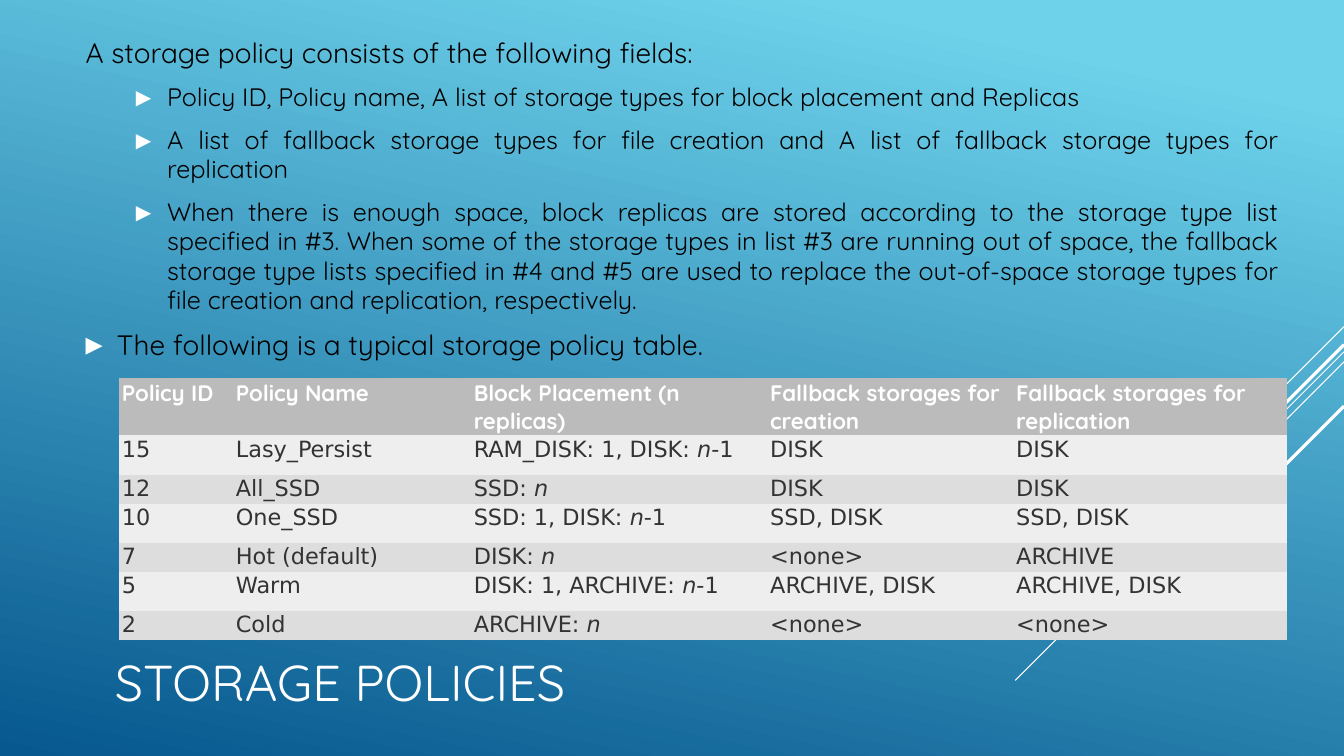
import dataclasses

import lxml.etree
import pptx
import pptx.dml.color
import pptx.enum.shapes
import pptx.enum.text
import pptx.oxml.ns
import pptx.util

PX = 9144  # 100 px to the inch


@dataclasses.dataclass(frozen=True)
class Theme:
    font: str = "Quicksand"
    cell_font: str = "DejaVu Sans"
    white: str = "FFFFFF"
    black: str = "000000"
    sky: str = "6ED2EB"
    deep: str = "06588E"
    header_fill: str = "BBBBBB"
    row_fills: tuple = ("EEEEEE", "DDDDDD")
    cell_text: str = "333333"
    title_size: int = 36
    body_size: int = 20
    point_size: int = 18
    table_size: int = 16


THEME = Theme()

# Each paragraph: level (None for no bullet) and text
BODY = [
    (None, "A storage policy consists of the following fields:"),
    (1, "Policy ID, Policy name, A list of storage types for block placement and Replicas"),
    (1, "A list of fallback storage types for file creation and A list of fallback "
        "storage types for replication"),
    (1, "When there is enough space, block replicas are stored according to the storage "
        "type list specified in #3. When some of the storage types in list #3 are running "
        "out of space, the fallback storage type lists specified in #4 and #5 are used to "
        "replace the out-of-space storage types for file creation and replication, "
        "respectively."),
    (0, "The following is a typical storage policy table."),
]

# Text between asterisks is italic
POLICIES = [
    ("Policy ID", "Policy Name", "Block Placement (n replicas)",
     "Fallback storages for creation", "Fallback storages for replication"),
    ("15", "Lasy_Persist", "RAM_DISK: 1, DISK: *n*-1", "DISK", "DISK"),
    ("12", "All_SSD", "SSD: *n*", "DISK", "DISK"),
    ("10", "One_SSD", "SSD: 1, DISK: *n*-1", "SSD, DISK", "SSD, DISK"),
    ("7", "Hot (default)", "DISK: *n*", "<none>", "ARCHIVE"),
    ("5", "Warm", "DISK: 1, ARCHIVE: *n*-1", "ARCHIVE, DISK", "ARCHIVE, DISK"),
    ("2", "Cold", "ARCHIVE: *n*", "<none>", "<none>"),
]
COLUMN_WIDTHS = (113, 236, 294, 244, 272)
ROW_HEIGHTS = (57, 39, 27, 39, 27, 39, 27)


def px(*lengths):
    return [length * PX for length in lengths]


def rgb(value):
    return pptx.dml.color.RGBColor.from_string(value)


def style_run(run, font, size, color, bold=False, italic=False):
    run.font.name = font
    run.font.size = pptx.util.Pt(size)
    run.font.color.rgb = rgb(color)
    run.font.bold = bold
    run.font.italic = italic


def add_child(parent, tag, **attributes):
    child = lxml.etree.SubElement(parent, pptx.oxml.ns.qn(tag))
    for name, value in attributes.items():
        child.set(name, str(value))
    return child


def set_bullet(paragraph, left):
    """Give the paragraph a white triangle and a hanging indent at left px."""
    properties = paragraph._p.get_or_add_pPr()
    properties.set("marL", str(left * PX))
    properties.set("indent", str(-31 * PX))
    add_child(add_child(properties, "a:buClr"), "a:srgbClr", val=THEME.white)
    add_child(properties, "a:buSzPct", val=80000)
    add_child(properties, "a:buFont", typeface=THEME.cell_font)
    add_child(properties, "a:buChar", char="▶")


def paint_background(slide):
    fill = slide.background.fill
    fill.gradient()
    fill.gradient_angle = 258
    for stop, color, position in zip(fill.gradient_stops, (THEME.sky, THEME.deep), (0.1, 1)):
        stop.color.rgb = rgb(color)
        stop.position = position


def add_diagonals(slide, right):
    """Draw the 45-degree strokes that run down and left from the right edge."""
    strokes = ((324, 100, 0.75), (349, 326, 0.75), (359, 207, 0.75),
               (342, 191, 2.25), (403, 139, 2.25))
    for top, length, weight in strokes:
        stroke = slide.shapes.add_connector(
            pptx.enum.shapes.MSO_CONNECTOR.STRAIGHT,
            *px(right, top, right - length, top + length))
        stroke.line.color.rgb = rgb(THEME.white)
        stroke.line.width = pptx.util.Pt(weight)
        add_child(stroke._element.spPr, "a:effectLst")


def add_title(slide, left, top, width, height):
    frame = slide.shapes.add_textbox(*px(left, top, width, height)).text_frame
    frame.word_wrap = True
    frame.vertical_anchor = pptx.enum.text.MSO_ANCHOR.MIDDLE
    frame.text = "STORAGE POLICIES"
    style_run(frame.paragraphs[0].runs[0], THEME.font, THEME.title_size, THEME.white)


def add_body(slide, left, top, width, height):
    frame = slide.shapes.add_textbox(*px(left, top, width, height)).text_frame
    frame.word_wrap = True
    for index, (level, text) in enumerate(BODY):
        paragraph = frame.add_paragraph() if index else frame.paragraphs[0]
        paragraph.text = text
        paragraph.alignment = pptx.enum.text.PP_ALIGN.JUSTIFY
        size = THEME.point_size if level else THEME.body_size
        paragraph.space_before = pptx.util.Pt(size * 0.2 if index else 0)
        paragraph.space_after = pptx.util.Pt(6)
        paragraph.line_spacing = 0.97
        style_run(paragraph.runs[0], THEME.font, size, THEME.black)
        if level is not None:
            set_bullet(paragraph, 31 + 50 * level)


def fill_cell(cell, text, fill, **style):
    cell.fill.solid()
    cell.fill.fore_color.rgb = rgb(fill)
    cell.margin_left = cell.margin_right = 3 * PX
    cell.margin_top = cell.margin_bottom = 1 * PX
    paragraph = cell.text_frame.paragraphs[0]
    for index, part in enumerate(text.split("*")):
        if part:
            run = paragraph.add_run()
            run.text = part
            style_run(run, size=THEME.table_size, italic=index % 2 == 1, **style)


def add_policy_table(slide, left, top):
    frame = slide.shapes.add_table(
        len(POLICIES), len(COLUMN_WIDTHS),
        *px(left, top, sum(COLUMN_WIDTHS), sum(ROW_HEIGHTS)))
    table = frame.table
    table.first_row = table.horz_banding = False
    style_id = table._tbl.tblPr.find(pptx.oxml.ns.qn("a:tableStyleId"))
    style_id.text = "{2D5ABB26-0587-4C30-8999-92F81FD0307C}"  # no style, no grid
    for column, width in zip(table.columns, COLUMN_WIDTHS):
        column.width = width * PX
    for row_index, (row, height, texts) in enumerate(zip(table.rows, ROW_HEIGHTS, POLICIES)):
        row.height = height * PX
        if row_index == 0:
            style = dict(fill=THEME.header_fill, font=THEME.font, color=THEME.white, bold=True)
        else:
            style = dict(fill=THEME.row_fills[(row_index - 1) % 2],
                         font=THEME.cell_font, color=THEME.cell_text)
        for cell, text in zip(row.cells, texts):
            fill_cell(cell, text, **style)


def build_policy_slide(presentation, width):
    slide = presentation.slides.add_slide(presentation.slide_layouts[6])
    paint_background(slide)
    add_diagonals(slide, width)
    add_title(slide, 104, 636, 933, 79)
    add_body(slide, 75, 32, 1203, 343)
    add_policy_table(slide, 118, 375)


def main():
    width, height = 1333, 750
    presentation = pptx.Presentation()
    presentation.slide_width, presentation.slide_height = px(width, height)
    build_policy_slide(presentation, width)
    presentation.save("out.pptx")


if __name__ == "__main__":
    main()
